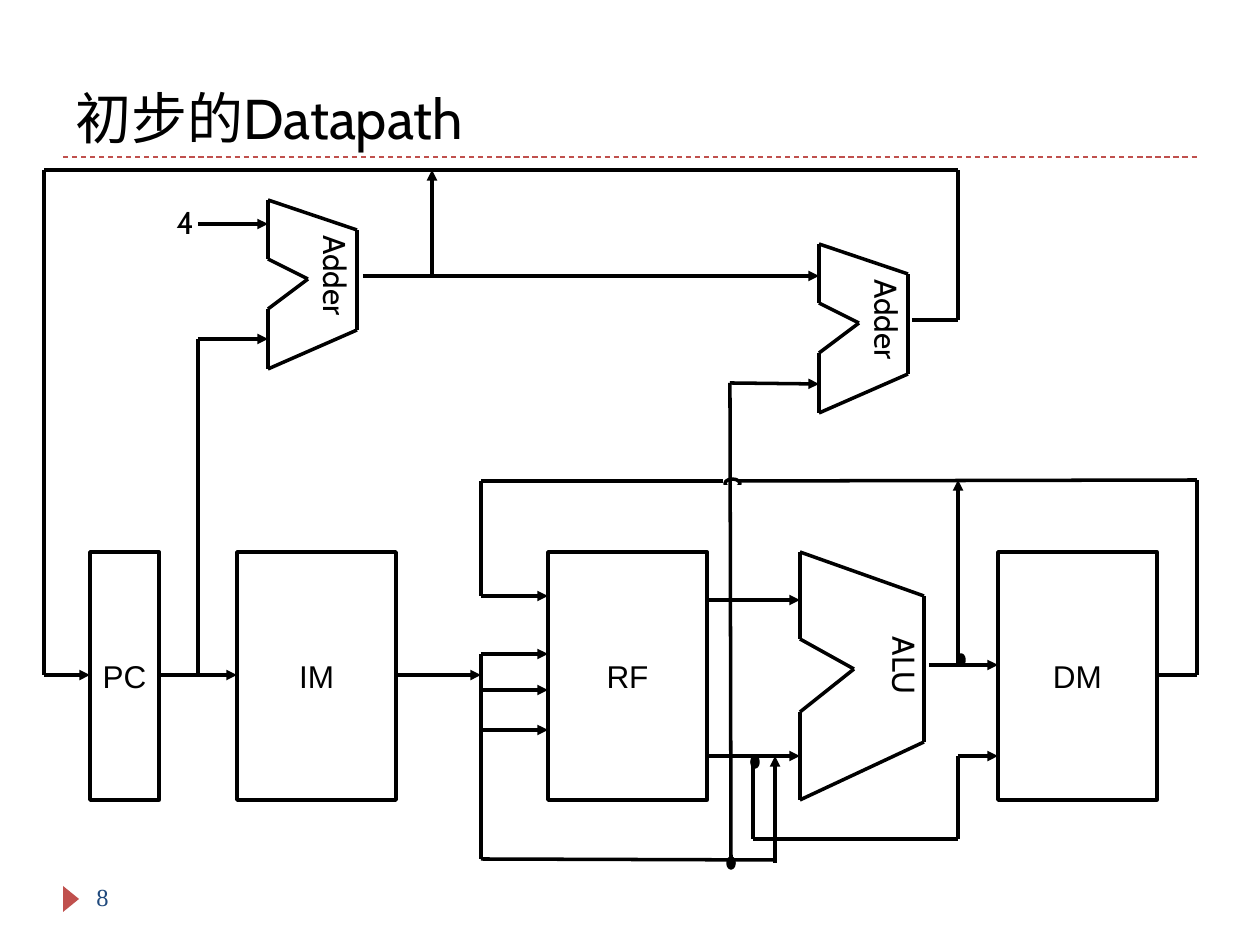
from itertools import pairwise

from lxml import etree
from pptx import Presentation, util as u
from pptx.dml.color import RGBColor
from pptx.enum import dml, shapes, text
from pptx.oxml import ns

PX = u.Inches(1) / 126
BLACK = RGBColor(0x00, 0x00, 0x00)
WHITE = RGBColor(0xFF, 0xFF, 0xFF)
RED = RGBColor(0xC0, 0x50, 0x4D)
NAVY = RGBColor(0x1F, 0x49, 0x7D)
KIND = shapes.MSO_SHAPE

# Memories and registers: name, left, width
BLOCK_TOP, BLOCK_HEIGHT = 552, 248
BLOCKS = [("PC", 90, 69), ("IM", 237, 159), ("RF", 548, 159), ("DM", 998, 159)]

# Arithmetic units: outline and label box are relative to the unit's corner
ADDER = {
    "outline": [(0, 0), (89, 30), (89, 130), (0, 169), (0, 109), (40, 79), (0, 59)],
    "label": (30, 15, 63, 121),
}
ALU = {
    "outline": [(0, 0), (124, 44), (124, 190), (0, 248), (0, 160), (54, 117), (0, 87)],
    "label": (42, 48, 88, 131),
}
UNITS = [("ALU", ALU, 800, 552), ("Adder", ADDER, 268, 200), ("Adder", ADDER, 819, 244)]

# Wires: corner points in order of flow
ARROWS = [
    [(160, 675), (237, 675)],                            # PC to IM
    [(198, 675), (198, 339), (268, 339)],                # PC to first adder
    [(198, 224), (268, 224)],                            # constant 4
    [(363, 276), (819, 276)],                            # adder to adder
    [(912, 320), (958, 320), (958, 170), (44, 170), (44, 675), (90, 675)],
    [(432, 276), (432, 170)],                            # PC + 4 to next PC
    [(707, 600), (800, 600)],                            # RF to ALU
    [(707, 756), (800, 756)],
    [(929, 665), (998, 665)],                            # ALU to DM
    [(395, 675), (481, 675)],                            # IM to fields
    [(481, 859), (481, 654), (548, 654)],                # fields to RF
    [(481, 690), (548, 690)],
    [(481, 730), (548, 730)],
    [(723, 481), (481, 481), (481, 596), (548, 596)],    # write back
    [(731, 859), (730, 383), (819, 384)],                # immediate to adder
    [(775, 863), (775, 756)],                            # immediate to ALU
    [(753, 756), (753, 839), (958, 839), (958, 756), (998, 756)],
    [(958, 665), (958, 480)],                            # ALU to write back
]
PLAIN_WIRES = [
    [(1156, 675), (1197, 675), (1197, 480)],
    [(481, 859), (775, 860)],
]
WRITE_BACK_BUS = [(737, 481), (1197, 480)]
DOTS = [(728, 858), (958, 655), (752, 757)]


def emu(*lengths):
    return [round(length * PX) for length in lengths]


def write(box, words, *, font="Cabin", size=18, color=BLACK, align=None,
          anchor=text.MSO_ANCHOR.TOP, wrap=True, vertical=False):
    frame = box.text_frame
    frame.word_wrap = wrap
    frame.vertical_anchor = anchor
    if vertical:
        box.element.txBody.bodyPr.set("vert", "vert")
    para = frame.paragraphs[0]
    para.alignment = align
    span = para.add_run()
    span.text = words
    span.font.name = font
    span.font.size = u.Pt(size)
    span.font.color.rgb = color


def add_text(parent, place, words, **style):
    write(parent.add_textbox(*emu(*place)), words, **style)


def add_solid(parent, kind, place, fill, outlined=True):
    solid = parent.add_shape(kind, *emu(*place))
    solid.shadow.inherit = False
    solid.fill.solid()
    solid.fill.fore_color.rgb = fill
    if outlined:
        solid.line.color.rgb = BLACK
        solid.line.width = u.Pt(2)
    else:
        solid.line.fill.background()
    return solid


def add_line(parent, start, end, color=BLACK, width=2):
    line = parent.add_connector(shapes.MSO_CONNECTOR.STRAIGHT, *emu(*start, *end))
    line.line.color.rgb = color
    line.line.width = u.Pt(width)
    etree.SubElement(line.element.spPr, ns.qn("a:effectLst"))
    return line


def add_wire(parent, points, arrow=False):
    for start, end in pairwise(points):
        line = add_line(parent, start, end)
    if arrow:
        etree.SubElement(line.line._get_or_add_ln(), ns.qn("a:tailEnd"), type="triangle")


def add_unit(parent, name, form, left, top):
    group = parent.add_group_shape().shapes
    corners = [(left + x, top + y) for x, y in form["outline"]]
    add_wire(group, corners + corners[:1])
    x, y, width, height = form["label"]
    add_text(group, (left + x, top + y, width, height), name,
             align=text.PP_ALIGN.CENTER, vertical=True)


def main():
    deck = Presentation()
    deck.slide_width, deck.slide_height = u.Inches(10), u.Inches(7.5)
    page = deck.slides.add_slide(deck.slide_layouts[6]).shapes

    # Title, rule and page number
    marker = add_solid(page, KIND.ISOSCELES_TRIANGLE, (58, 891, 26, 16), RED, outlined=False)
    marker.rotation = 90
    rule = add_line(page, (63, 157), (1197, 157), RED, 0.75)
    rule.line.dash_style = dml.MSO_LINE.DASH
    add_text(page, (63, 21, 1134, 136), "初步的Datapath", size=32,
             anchor=text.MSO_ANCHOR.BOTTOM)
    add_text(page, (84, 876, 273, 50), "8", font="Times New Roman", size=14, color=NAVY)

    # Write-back bus with the hump where another wire crosses it
    add_wire(page, WRITE_BACK_BUS)
    add_solid(page, KIND.OVAL, (725, 479, 15, 9), WHITE)
    add_solid(page, KIND.RECTANGLE, (718, 485, 32, 8), WHITE, outlined=False)

    # Blocks and arithmetic units
    for name, left, width in BLOCKS:
        block = add_solid(page, KIND.RECTANGLE, (left, BLOCK_TOP, width, BLOCK_HEIGHT), WHITE)
        write(block, name, font="Arial", align=text.PP_ALIGN.CENTER,
              anchor=text.MSO_ANCHOR.MIDDLE)
    for unit in UNITS:
        add_unit(page, *unit)
    add_text(page, (164, 197, 42, 50), "4", wrap=False)

    # Wires and junction dots
    for points in ARROWS:
        add_wire(page, points, arrow=True)
    for points in PLAIN_WIRES:
        add_wire(page, points)
    for x, y in DOTS:
        add_solid(page, KIND.OVAL, (x, y, 6, 10), BLACK)

    deck.save("out.pptx")


if __name__ == "__main__":
    main()
